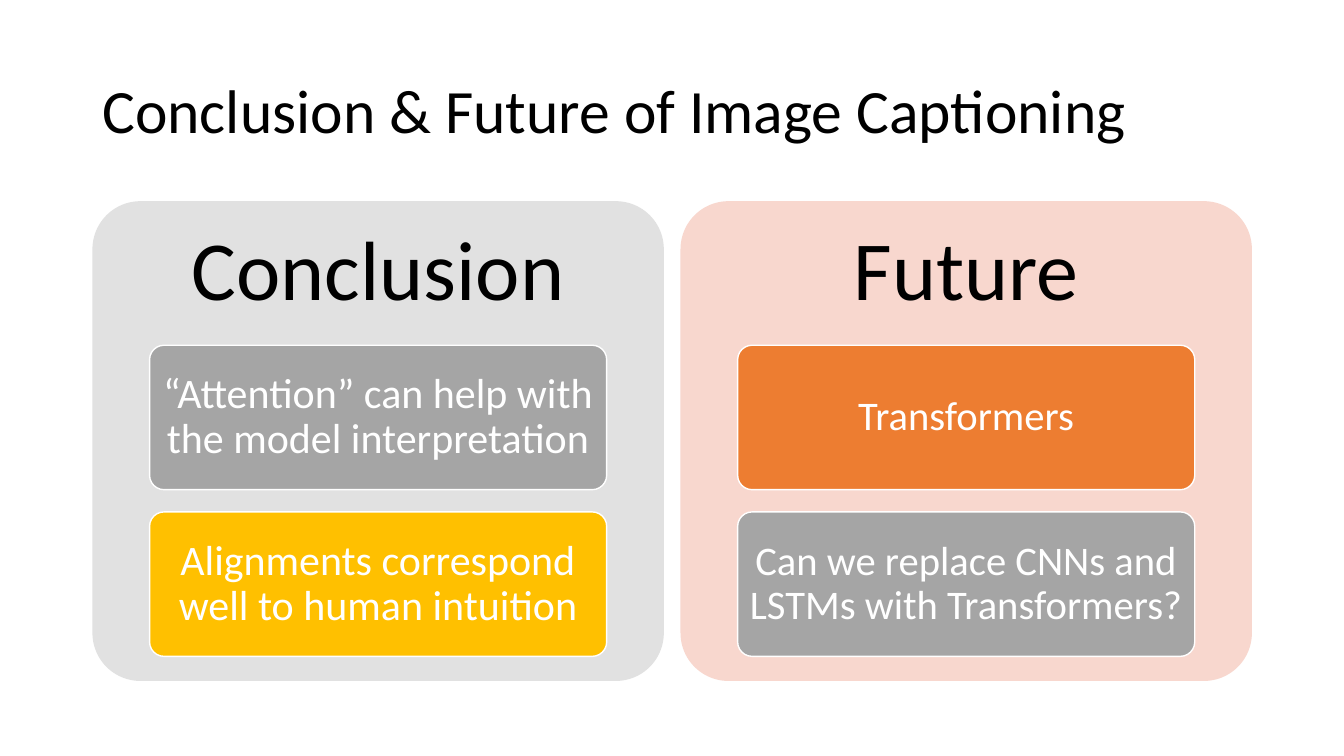
import pptx
import pptx.dml.color
import pptx.enum.shapes
import pptx.enum.text
import pptx.util

Cm = pptx.util.Cm
RGBColor = pptx.dml.color.RGBColor
MSO_SHAPE = pptx.enum.shapes.MSO_SHAPE
PP_ALIGN = pptx.enum.text.PP_ALIGN

BLACK = RGBColor(0x00, 0x00, 0x00)
WHITE = RGBColor(0xFF, 0xFF, 0xFF)
PALE_GRAY = RGBColor(0xE1, 0xE1, 0xE1)
PALE_ORANGE = RGBColor(0xF8, 0xD7, 0xCE)
GRAY = RGBColor(0xA5, 0xA5, 0xA5)
GOLD = RGBColor(0xFF, 0xC0, 0x00)
ORANGE = RGBColor(0xED, 0x7D, 0x31)

LEFT, PANEL_TOP = 2.33, 5.07
PANEL_WIDTH, PANEL_HEIGHT, PANEL_PITCH = 14.4, 12.09, 14.82
CARD_INDENT = PANEL_WIDTH * 0.1
CARD_WIDTH = PANEL_WIDTH * 0.8
HEADING_HEIGHT, CARD_HEIGHT, CARD_PITCH = 3.63, 3.64, 4.2

PANELS = [
    ("Conclusion", PALE_GRAY, 30, [
        ("“Attention” can help with the model interpretation", GRAY),
        ("Alignments correspond well to human intuition", GOLD),
    ]),
    ("Future", PALE_ORANGE, 29, [
        ("Transformers", ORANGE),
        ("Can we replace CNNs and LSTMs with Transformers?", GRAY),
    ]),
]


def write_text(shape, text, size, color=BLACK, alignment=PP_ALIGN.CENTER,
               margin_x=0.25, margin_y=0.13):
    """Fill a shape with one vertically centred paragraph; margins in cm."""
    frame = shape.text_frame
    frame.word_wrap = True
    frame.auto_size = pptx.enum.text.MSO_AUTO_SIZE.NONE
    frame.vertical_anchor = pptx.enum.text.MSO_ANCHOR.MIDDLE
    frame.margin_left = frame.margin_right = Cm(margin_x)
    frame.margin_top = frame.margin_bottom = Cm(margin_y)
    paragraph = frame.paragraphs[0]
    paragraph.alignment = alignment
    paragraph.line_spacing = 0.9
    run = paragraph.add_run()
    run.text = text
    run.font.name = "Calibri"
    run.font.size = pptx.util.Pt(size)
    run.font.color.rgb = color


class SlideBuilder:
    """Draws the elements of one slide; lengths are in cm."""

    def __init__(self, slide):
        self.slide = slide

    def title(self, text):
        title = self.slide.shapes.title
        title.left, title.top = Cm(LEFT), Cm(1.01)
        title.width, title.height = Cm(29.21), Cm(3.68)
        write_text(title, text, 44, alignment=PP_ALIGN.LEFT)

    def rounded_box(self, left, top, width, height, fill, line=None):
        box = self.slide.shapes.add_shape(
            MSO_SHAPE.ROUNDED_RECTANGLE, Cm(left), Cm(top), Cm(width), Cm(height))
        box.adjustments[0] = 0.1
        box.shadow.inherit = False
        box.fill.solid()
        box.fill.fore_color.rgb = fill
        if line is None:
            box.line.fill.background()
        else:
            box.line.color.rgb = line
            box.line.width = pptx.util.Pt(1)
        return box

    def heading(self, text, left, top):
        box = self.slide.shapes.add_textbox(
            Cm(left), Cm(top), Cm(PANEL_WIDTH), Cm(HEADING_HEIGHT))
        write_text(box, text, 60, margin_x=0.64, margin_y=0.64)

    def card(self, text, left, top, fill, size):
        box = self.rounded_box(left, top, CARD_WIDTH, CARD_HEIGHT, fill, WHITE)
        write_text(box, text, size, WHITE, margin_x=0.2, margin_y=0.15)

    def panel(self, left, heading, fill, size, cards):
        self.rounded_box(left, PANEL_TOP, PANEL_WIDTH, PANEL_HEIGHT, fill)
        self.heading(heading, left, PANEL_TOP)
        for row, (text, card_fill) in enumerate(cards):
            top = PANEL_TOP + HEADING_HEIGHT + row * CARD_PITCH
            self.card(text, left + CARD_INDENT, top, card_fill, size)


def main():
    presentation = pptx.Presentation()
    presentation.slide_width = Cm(33.87)
    presentation.slide_height = Cm(19.05)
    slide = presentation.slides.add_slide(presentation.slide_layouts[5])
    builder = SlideBuilder(slide)
    builder.title("Conclusion & Future of Image Captioning")
    for column, panel in enumerate(PANELS):
        builder.panel(LEFT + column * PANEL_PITCH, *panel)
    presentation.save("out.pptx")


if __name__ == "__main__":
    main()
